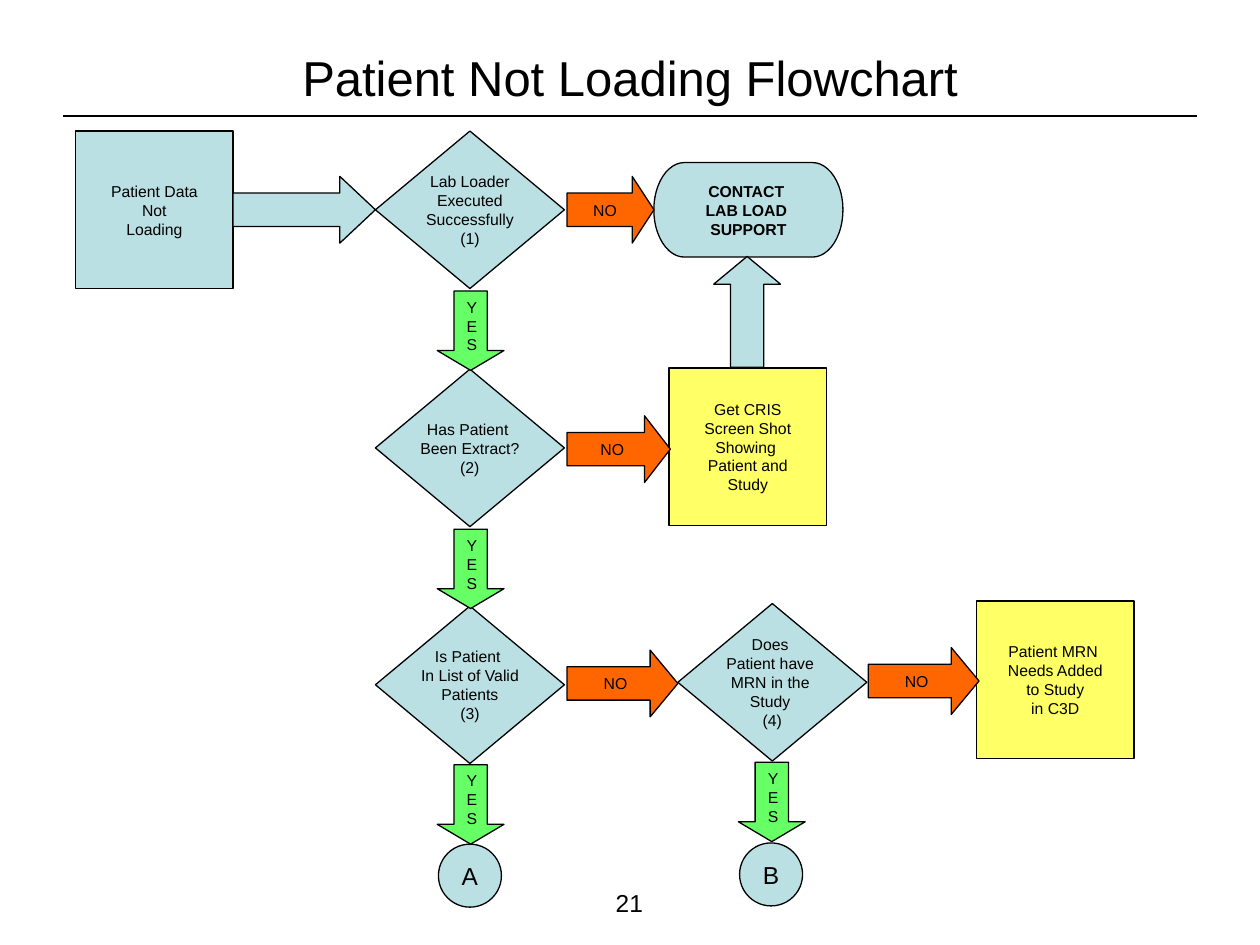
import pptx
import pptx.util
import pptx.dml.color
import pptx.enum.shapes
import pptx.enum.text
import pptx.oxml
from pptx.util import Inches

KINDS = pptx.enum.shapes.MSO_SHAPE
BLUE, YELLOW, ORANGE, GREEN = "BBE0E3", "FFFF66", "FF6600", "66FF66"
BLACK = "000000"


def color(text):
    return pptx.dml.color.RGBColor.from_string(text)


def add_run(para, text, size, bold=False):
    run = para.add_run()
    run.text = text
    run.font.name = "Arial"
    run.font.size = pptx.util.Pt(size)
    run.font.bold = bold
    run.font.color.rgb = color(BLACK)


def write(frame, lines, size, bold=False):
    for index, line in enumerate(lines):
        para = frame.add_paragraph() if index else frame.paragraphs[0]
        para.alignment = pptx.enum.text.PP_ALIGN.CENTER
        add_run(para, line, size, bold)


def inset(frame, side, top):
    frame.margin_left = frame.margin_right = Inches(side)
    frame.margin_top = frame.margin_bottom = Inches(top)


def add_node(slide, kind, fill, box, lines=(), size=9, bold=False):
    node = slide.shapes.add_shape(kind, *map(Inches, box))
    node.shadow.inherit = False
    node.fill.solid()
    node.fill.fore_color.rgb = color(fill)
    node.line.color.rgb = color(BLACK)
    node.line.width = pptx.util.Pt(0.75)
    frame = node.text_frame
    frame.word_wrap = False
    frame.vertical_anchor = pptx.enum.text.MSO_ANCHOR.MIDDLE
    inset(frame, 0.1, 0.05)
    write(frame, lines, size, bold)
    return node


def add_arrow(slide, fill, left, top, width, lines=(), turn=0):
    high = 0.53
    arrow = add_node(slide, KINDS.RIGHT_ARROW, fill, (left, top, width, high), lines)
    arrow.adjustments[0] = 0.5
    arrow.adjustments[1] = width / 4 / high
    arrow.rotation = turn
    return arrow


def add_yes(slide, left, top):
    frame = add_arrow(slide, GREEN, left, top, 0.63, turn=90).text_frame
    inset(frame, 0.05, 0.1)
    body = frame._txBody.bodyPr
    body.set("rot", "10800000")
    body.set("vert", "eaVert")
    para = frame.paragraphs[0]
    para.alignment = pptx.enum.text.PP_ALIGN.CENTER
    for index, mark in enumerate("YES"):
        if index:
            para.add_line_break()
        add_run(para, mark, 9)


def add_title(slide, text):
    title = slide.shapes.title
    title.left, title.top, title.width, title.height = map(Inches, (0.5, 0.3, 9, 0.62))
    frame = title.text_frame
    frame.auto_size = pptx.enum.text.MSO_AUTO_SIZE.NONE
    frame.vertical_anchor = pptx.enum.text.MSO_ANCHOR.MIDDLE
    inset(frame, 0, 0)
    write(frame, [text], 28)


def add_rule(slide):
    ends = map(Inches, (0.5, 0.92, 9.5, 0.92))
    rule = slide.shapes.add_connector(pptx.enum.shapes.MSO_CONNECTOR.STRAIGHT, *ends)
    rule.line.color.rgb = color(BLACK)
    rule.line.width = pptx.util.Pt(1.25)
    rule._element.spPr.append(pptx.oxml.parse_xml(
        '<a:effectLst xmlns:a="http://schemas.openxmlformats.org/drawingml/2006/main"/>'))


def add_number(slide, text):
    frame = slide.shapes.add_textbox(*map(Inches, (3.83, 7, 2.33, 0.35))).text_frame
    frame.word_wrap = True
    write(frame, [text], 14)


def main():
    deck = pptx.Presentation()
    deck.slide_width, deck.slide_height = Inches(10), Inches(7.5)
    slide = deck.slides.add_slide(deck.slide_layouts[5])
    add_title(slide, "Patient Not Loading Flowchart")
    add_rule(slide)

    steps = [
        (0.6, 1.04, BLUE, ["Patient Data", "Not", "Loading"]),
        (5.31, 2.92, YELLOW,
         ["Get CRIS", "Screen Shot", "Showing ", "Patient and", "Study"]),
        (7.75, 4.77, YELLOW, ["Patient MRN ", "Needs Added", "to Study", "in C3D"]),
    ]
    for left, top, fill, lines in steps:
        add_node(slide, KINDS.FLOWCHART_PROCESS, fill, (left, top, 1.25, 1.25), lines)

    tests = [
        (2.98, 1.04, ["Lab Loader", "Executed", "Successfully", "(1)"]),
        (2.98, 2.93, ["Has Patient ", "Been Extract?", "(2)"]),
        (2.98, 4.81, ["Is Patient ", "In List of Valid", "Patients", "(3)"]),
        (5.38, 4.79, ["Does ", "Patient have ", "MRN in the ", "Study ", "(4)"]),
    ]
    for left, top, lines in tests:
        add_node(slide, KINDS.FLOWCHART_DECISION, BLUE, (left, top, 1.5, 1.25), lines)

    add_node(slide, KINDS.FLOWCHART_TERMINATOR, BLUE, (5.19, 1.29, 1.5, 0.75),
             ["CONTACT ", "LAB LOAD ", "SUPPORT"], bold=True)
    for left, top, name in [(3.48, 6.7, "A"), (5.87, 6.69, "B")]:
        add_node(slide, KINDS.FLOWCHART_CONNECTOR, BLUE, (left, top, 0.5, 0.5), [name], 14)

    add_arrow(slide, BLUE, 1.85, 1.4, 1.13)
    add_arrow(slide, BLUE, 5.49, 2.21, 0.88, turn=270)
    for left, top, width in [(4.5, 1.4, 0.69), (4.5, 3.3, 0.82),
                             (4.5, 5.16, 0.88), (6.89, 5.14, 0.88)]:
        add_arrow(slide, ORANGE, left, top, width, ["NO"])
    for left, top in [(3.42, 2.36), (3.42, 4.25), (3.42, 6.12), (5.81, 6.1)]:
        add_yes(slide, left, top)

    add_number(slide, "21")
    deck.save("out.pptx")


if __name__ == "__main__":
    main()
